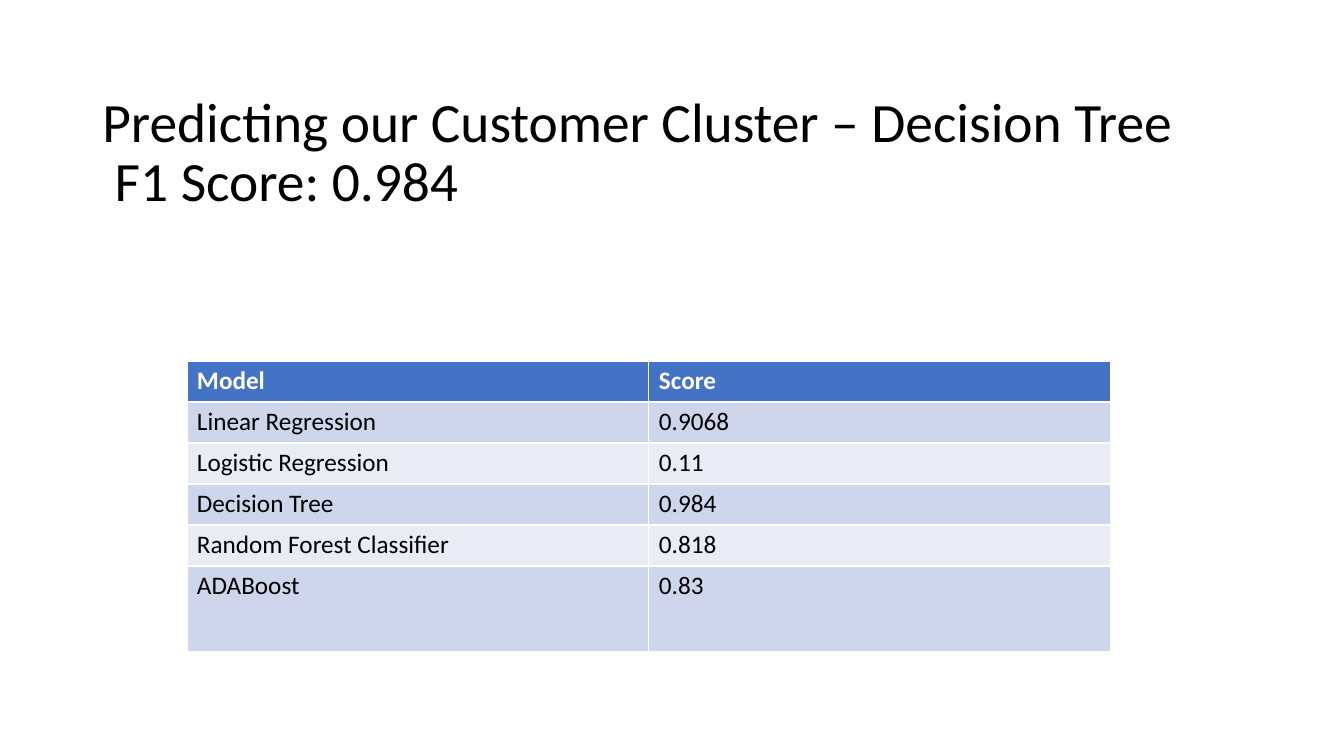
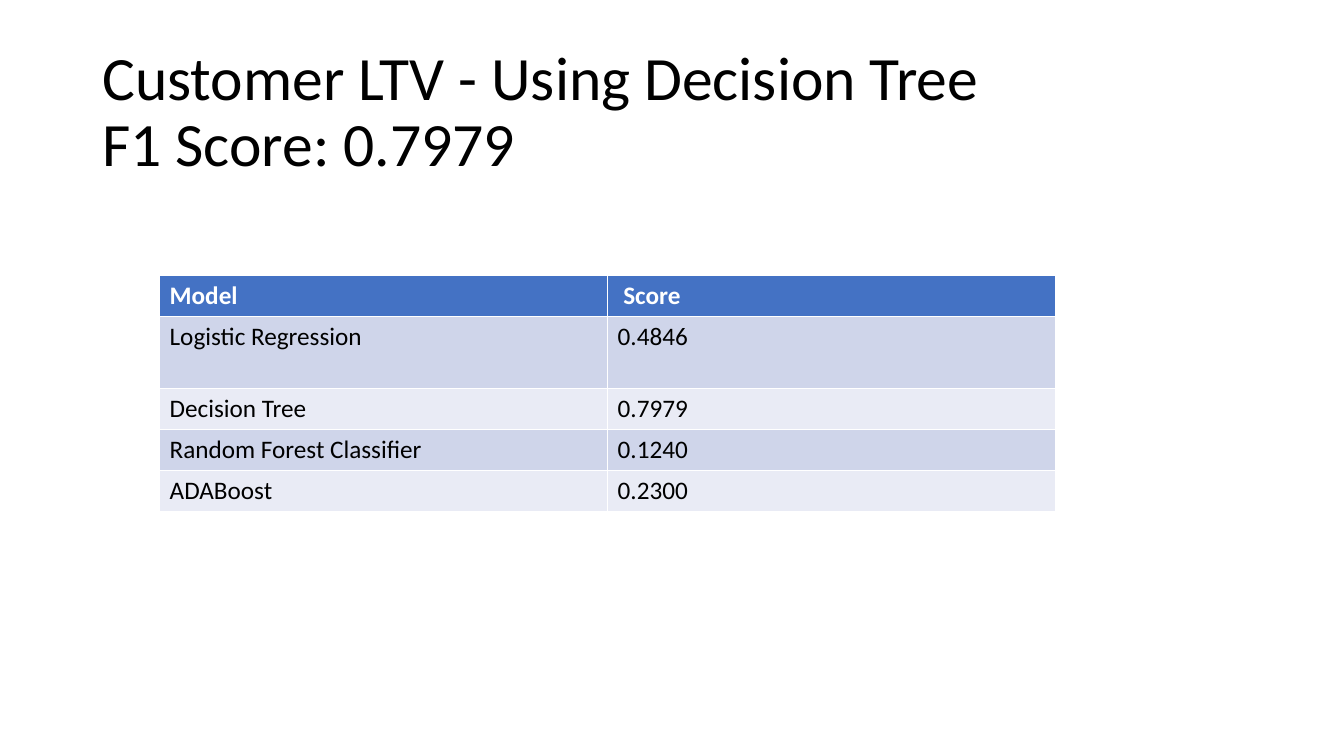
import pptx
import pptx.dml.color
import pptx.enum.text
import pptx.util

Pt = pptx.util.Pt
RGB = pptx.dml.color.RGBColor

BLACK = RGB(0x00, 0x00, 0x00)
WHITE = RGB(0xFF, 0xFF, 0xFF)
BLUE = RGB(0x44, 0x72, 0xC4)
BANDS = RGB(0xCF, 0xD5, 0xEA), RGB(0xE9, 0xEB, 0xF5)
FONT = "Calibri"
ROW = 29.3

CLUSTER = [
    ("Model", "Score"),
    ("Linear Regression", "0.9068"),
    ("Logistic Regression", "0.11"),
    ("Decision Tree", "0.984"),
    ("Random Forest Classifier", "0.818"),
    ("ADABoost", "0.83"),
]
VALUE = [
    ("Model", " Score"),
    ("Logistic Regression", "0.4846"),
    ("Decision Tree", "0.7979"),
    ("Random Forest Classifier", "0.1240"),
    ("ADABoost", "0.2300"),
]


def add_run(para, text, size, color, bold=False):
    run = para.add_run()
    run.text = text
    run.font.name = FONT
    run.font.size = Pt(size)
    run.font.bold = bold
    run.font.color.rgb = color


def add_title(slide, top, size, lines):
    box = slide.shapes.add_textbox(Pt(66), Pt(top), Pt(828), Pt(104))
    frame = box.text_frame
    frame.word_wrap = True
    frame.vertical_anchor = pptx.enum.text.MSO_ANCHOR.MIDDLE
    para = frame.paragraphs[0]
    para.line_spacing = 0.9
    for i, line in enumerate(lines):
        if i:
            para.add_line_break()
        add_run(para, line, size, BLACK)


def add_scores(slide, left, top, width, rows, tall):
    """Add a banded score table; tall maps a row index to its own height."""
    sizes = [tall.get(i, ROW) for i in range(len(rows))]
    frame = slide.shapes.add_table(
        len(rows), 2, Pt(left), Pt(top), Pt(width), Pt(sum(sizes)))
    table = frame.table
    for r, texts in enumerate(rows):
        table.rows[r].height = Pt(sizes[r])
        head = r == 0
        for c, text in enumerate(texts):
            cell = table.cell(r, c)
            cell.fill.solid()
            cell.fill.fore_color.rgb = BLUE if head else BANDS[(r - 1) % 2]
            add_run(cell.text_frame.paragraphs[0], text, 18,
                    WHITE if head else BLACK, head)


def main():
    deck = pptx.Presentation()
    deck.slide_width, deck.slide_height = Pt(960), Pt(540)
    blank = deck.slide_layouts[6]

    slide = deck.slides.add_slide(blank)
    add_title(slide, 58, 39.6, [
        "Predicting our Customer Cluster – Decision Tree",
        " F1 Score: 0.984"])
    add_scores(slide, 133.5, 257.8, 660, CLUSTER, {5: 61.5})

    slide = deck.slides.add_slide(blank)
    add_title(slide, 29, 44, [
        "Customer LTV - Using Decision Tree",
        "F1 Score: 0.7979"])
    add_scores(slide, 114, 197, 640, VALUE, {1: 51})

    deck.save("out.pptx")


if __name__ == "__main__":
    main()
